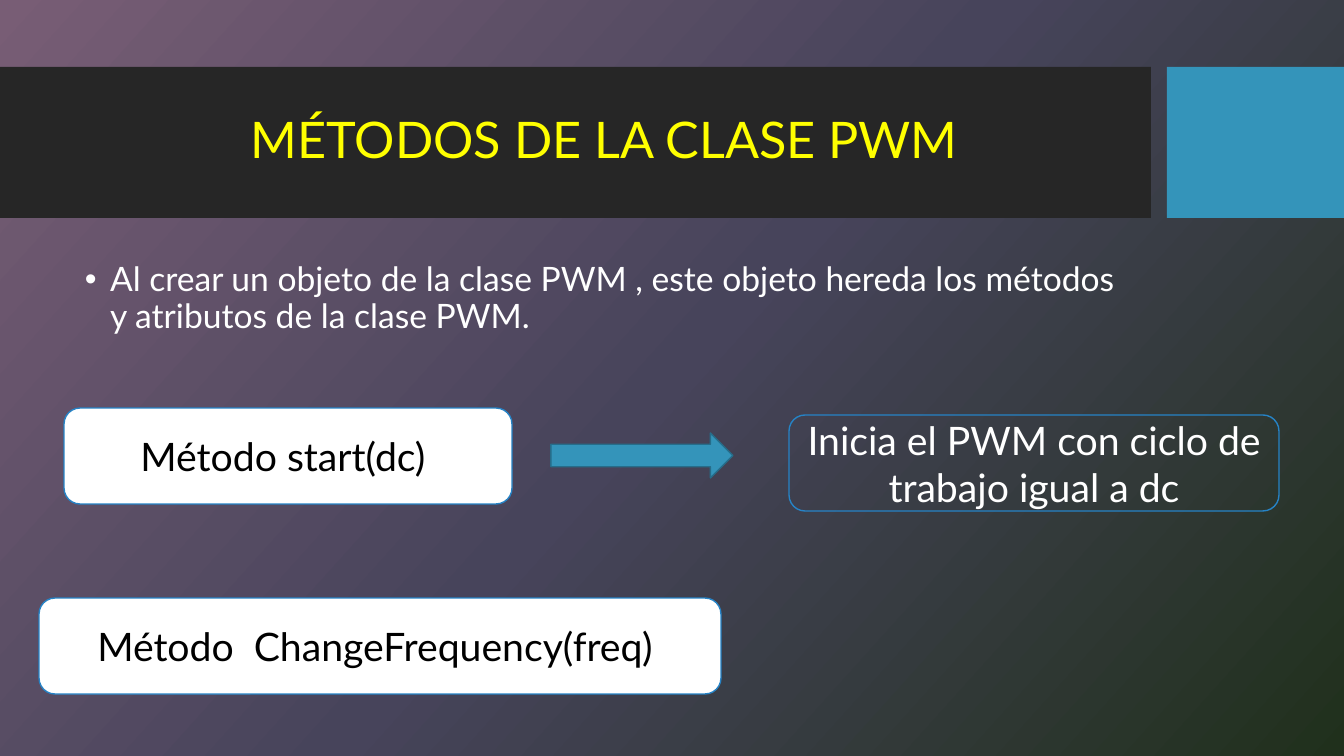
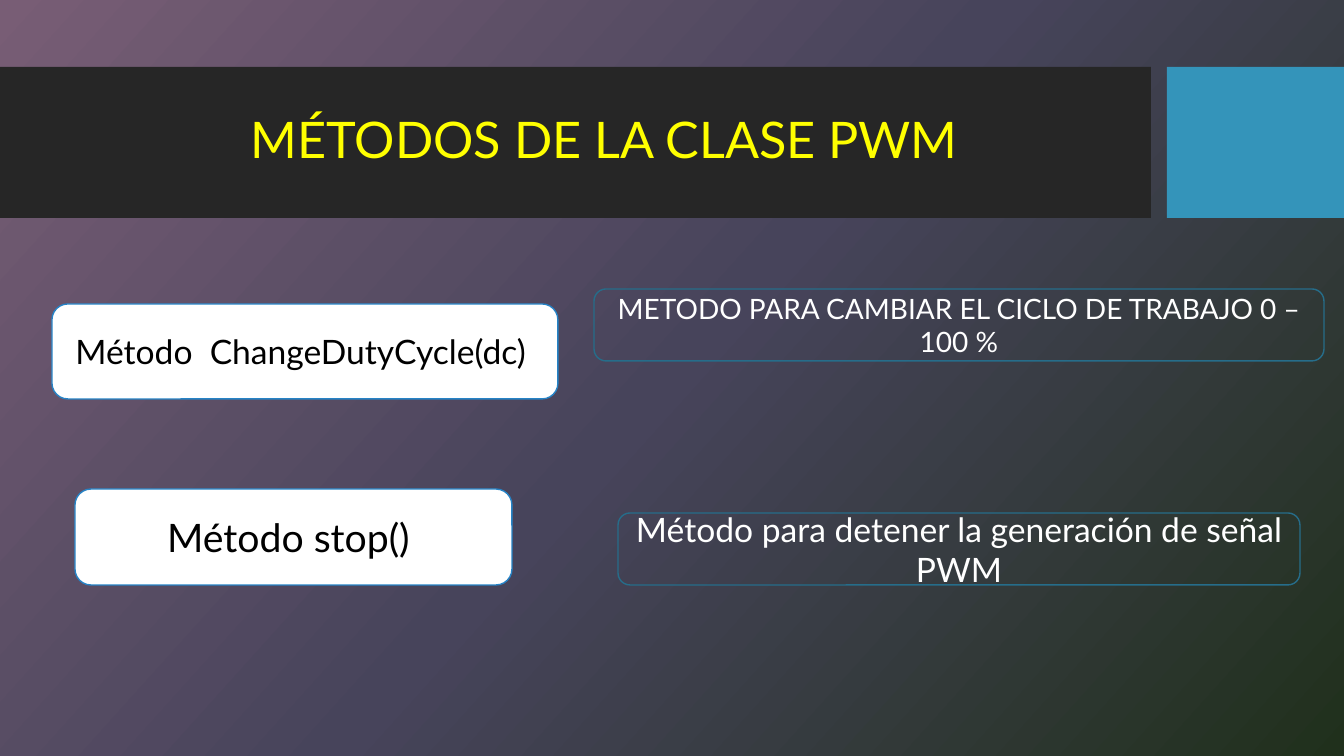
from copy import deepcopy

from lxml import etree
from pptx import Presentation
from pptx.dml.color import RGBColor
from pptx.enum.shapes import MSO_SHAPE
from pptx.enum.text import MSO_ANCHOR, PP_ALIGN
from pptx.oxml.ns import qn
from pptx.util import Pt

RECT = MSO_SHAPE.RECTANGLE
ROUND = MSO_SHAPE.ROUNDED_RECTANGLE
ARROW = MSO_SHAPE.RIGHT_ARROW
MIDDLE, TOP = MSO_ANCHOR.MIDDLE, MSO_ANCHOR.TOP
CENTER, LEFT = PP_ALIGN.CENTER, PP_ALIGN.LEFT

WHITE = RGBColor(0xFF, 0xFF, 0xFF)
BLACK = RGBColor(0x00, 0x00, 0x00)
YELLOW = RGBColor(0xFF, 0xFF, 0x00)
DARK = RGBColor(0x26, 0x26, 0x26)
TEAL = RGBColor(0x34, 0x94, 0xBA)
DEEP = RGBColor(0x26, 0x6D, 0x8A)
BLUE = RGBColor(0x26, 0x83, 0xC6)
BACK = (RGBColor(0x78, 0x5D, 0x75), RGBColor(0x47, 0x44, 0x5B),
        RGBColor(0x20, 0x30, 0x1C))

FONT = "Lato"
WIDE, HIGH = 1344, 756
SCALE = 12192000 / WIDE
BAND = (0, 67, WIDE, 151)
BODY = (75, 258, 1059, 397)
TITLE = "MÉTODOS DE LA CLASE PWM"
HEAD = {"size": Pt(36), "color": YELLOW}
NOTE = {"size": Pt(24), "color": WHITE}


def px(*nums):
    return [round(n * SCALE) for n in nums]


def write(shape, text, style, align=CENTER, anchor=MIDDLE, space=None):
    frame = shape.text_frame
    frame.word_wrap = True
    frame.vertical_anchor = anchor
    par = frame.paragraphs[0]
    for key, val in {"alignment": align, "line_spacing": space}.items():
        setattr(par, key, val)
    run = par.add_run()
    run.text = text
    for key, val in {"name": FONT, "size": style["size"]}.items():
        setattr(run.font, key, val)
    run.font.color.rgb = style["color"]
    return par


def draw(slide, kind, box, fill=None, line=None):
    shape = slide.shapes.add_shape(kind, *px(*box))
    shape.shadow.inherit = False
    if fill is None:
        shape.fill.background()
    else:
        shape.fill.solid()
        shape.fill.fore_color.rgb = fill
    if line is None:
        shape.line.fill.background()
    else:
        shape.line.color.rgb = line
        shape.line.width = Pt(1)
    return shape


def header(slide, box):
    left, top, width, height = box
    side, gap = 177, 16
    draw(slide, RECT, (left, top, width - side - gap, height), DARK)
    draw(slide, RECT, (left + width - side, top, side, height), TEAL)
    area = slide.shapes.add_textbox(*px(left + 75, top + 16, 1059, 119))
    write(area, TITLE, HEAD, space=0.9)


def bullet(slide, box, text):
    area = slide.shapes.add_textbox(*px(*box))
    par = write(area, text, NOTE, LEFT, TOP, 0.9)
    props = par._p.get_or_add_pPr()
    props.set("marL", "228600")
    props.set("indent", "-228600")
    font = etree.SubElement(props, qn("a:buFont"))
    font.set("typeface", "Arial")
    mark = etree.SubElement(props, qn("a:buChar"))
    mark.set("char", "•")


def method(slide, box, text, size=28):
    card = draw(slide, ROUND, box, WHITE, BLUE)
    write(card, text, {"size": Pt(size), "color": BLACK})


def detail(slide, box, text, size, line=DEEP):
    card = draw(slide, ROUND, box, None, line)
    write(card, text, {"size": Pt(size), "color": WHITE})


def paint(master):
    fill = master.background.fill
    fill.gradient()
    fill.gradient_angle = 318
    stops = master.element.find(".//" + qn("p:bg")).find(".//" + qn("a:gsLst"))
    stops.append(deepcopy(stops[-1]))
    for num, (stop, color) in enumerate(zip(fill.gradient_stops, BACK)):
        stop.position = num / 2
        stop.color.rgb = color


def start(deck):
    slide = deck.slides.add_slide(deck.slide_layouts[6])
    header(slide, BAND)
    return slide


def first(deck):
    slide = start(deck)
    bullet(slide, BODY, "Al crear un objeto de la clase PWM , este objeto "
           "hereda los métodos y atributos de la clase PWM.")
    method(slide, (64, 408, 448, 96), "Método start(dc) ")
    method(slide, (39, 598, 682, 96), "Método  ChangeFrequency(freq) ")
    detail(slide, (789, 415, 490, 96),
           "Inicia el PWM con ciclo de trabajo igual a dc", 28, BLUE)
    draw(slide, ARROW, (551, 433, 182, 45), TEAL, DEEP)


def second(deck):
    slide = start(deck)
    method(slide, (52, 304, 506, 95), "Método  ChangeDutyCycle(dc) ", 24)
    method(slide, (75, 489, 437, 96), "Método stop() ")
    detail(slide, (594, 289, 730, 72),
           "METODO PARA CAMBIAR EL CICLO DE TRABAJO 0 – 100 %", 20)
    detail(slide, (618, 513, 682, 72),
           "Método para detener la generación de señal PWM", 24)


def main():
    deck = Presentation()
    deck.slide_width, deck.slide_height = px(WIDE, HIGH)
    paint(deck.slide_master)
    first(deck)
    second(deck)
    deck.save("out.pptx")


if __name__ == "__main__":
    main()
